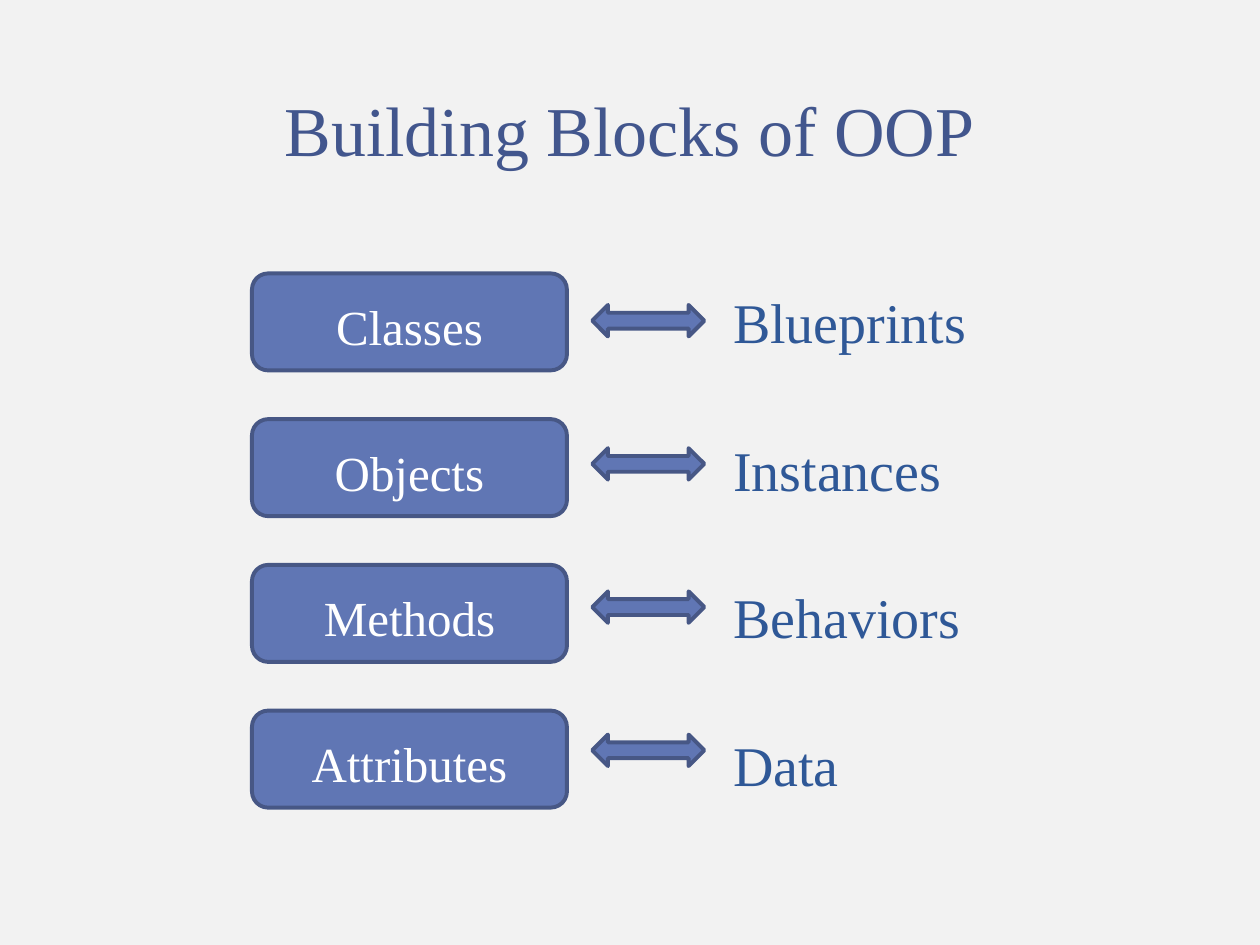
from pptx import Presentation
from pptx.dml.color import RGBColor
from pptx.enum.shapes import MSO_SHAPE
from pptx.enum.text import MSO_ANCHOR, PP_ALIGN
from pptx.util import Inches, Pt

ROUNDED = MSO_SHAPE.ROUNDED_RECTANGLE
DOUBLE_ARROW = MSO_SHAPE.LEFT_RIGHT_ARROW
MIDDLE, TOP = MSO_ANCHOR.MIDDLE, MSO_ANCHOR.TOP
CENTER, LEFT = PP_ALIGN.CENTER, PP_ALIGN.LEFT

FONT = "Times New Roman"
BACKGROUND, FILL, OUTLINE = "F2F2F2", "6076B4", "475785"
TITLE_COLOR, MEANING_COLOR, WHITE = "42568D", "2F5897", "FFFFFF"

BLOCKS = {
    "Classes": "Blueprints",
    "Objects": "Instances",
    "Methods": "Behaviors",
    "Attributes": "Data",
}
FIRST_ROW = 2.17
BLOCK_PITCH = 3.47 / (len(BLOCKS) - 1)
ARROW_PITCH = 3.41 / (len(BLOCKS) - 1)


def rgb(value):
    """Turn a hex string into a colour."""
    return RGBColor.from_string(value)


def write(frame, lines, size, color, align, anchor=TOP, gap=0, wrap=True):
    """Fill a text frame with evenly spaced, formatted lines."""
    frame.text = "\n".join(lines)
    frame.word_wrap = wrap
    frame.vertical_anchor = anchor
    frame.margin_top = Inches(0.11)
    for paragraph in frame.paragraphs:
        paragraph.alignment = align
        paragraph.space_after = Pt(gap)
        for run in paragraph.runs:
            run.font.name = FONT
            run.font.size = Pt(size)
            run.font.color.rgb = rgb(color)


def add_text(slide, box, lines, size, color, align, **options):
    """Add a text box."""
    label = slide.shapes.add_textbox(*map(Inches, box))
    write(label.text_frame, lines, size, color, align, **options)


def add_outlined(slide, preset, box):
    """Add a filled and outlined preset shape."""
    shape = slide.shapes.add_shape(preset, *map(Inches, box))
    shape.shadow.inherit = False
    shape.fill.solid()
    shape.fill.fore_color.rgb = rgb(FILL)
    shape.line.color.rgb = rgb(OUTLINE)
    shape.line.width = Pt(2.25)
    return shape


def main():
    """Build the slide and save it."""
    deck = Presentation()
    deck.slide_width, deck.slide_height = Inches(10), Inches(7.5)
    slide = deck.slides.add_slide(deck.slide_layouts[6])
    slide.background.fill.solid()
    slide.background.fill.fore_color.rgb = rgb(BACKGROUND)

    add_text(slide, (0.58, 0.58, 8.83, 0.77), ["Building Blocks of OOP"],
             40, TITLE_COLOR, CENTER)
    for row, term in enumerate(BLOCKS):
        block = add_outlined(slide, ROUNDED,
                             (2, FIRST_ROW + row * BLOCK_PITCH, 2.5, 0.77))
        write(block.text_frame, [term], 28, WHITE, CENTER, anchor=MIDDLE)
    add_text(slide, (5.72, FIRST_ROW, 2.07, 4.12), BLOCKS.values(),
             32, MEANING_COLOR, LEFT, gap=46, wrap=False)
    for row in range(len(BLOCKS)):
        add_outlined(slide, DOUBLE_ARROW,
                     (4.7, FIRST_ROW + 0.25 + row * ARROW_PITCH, 0.89, 0.25))

    deck.save("out.pptx")


if __name__ == "__main__":
    main()
